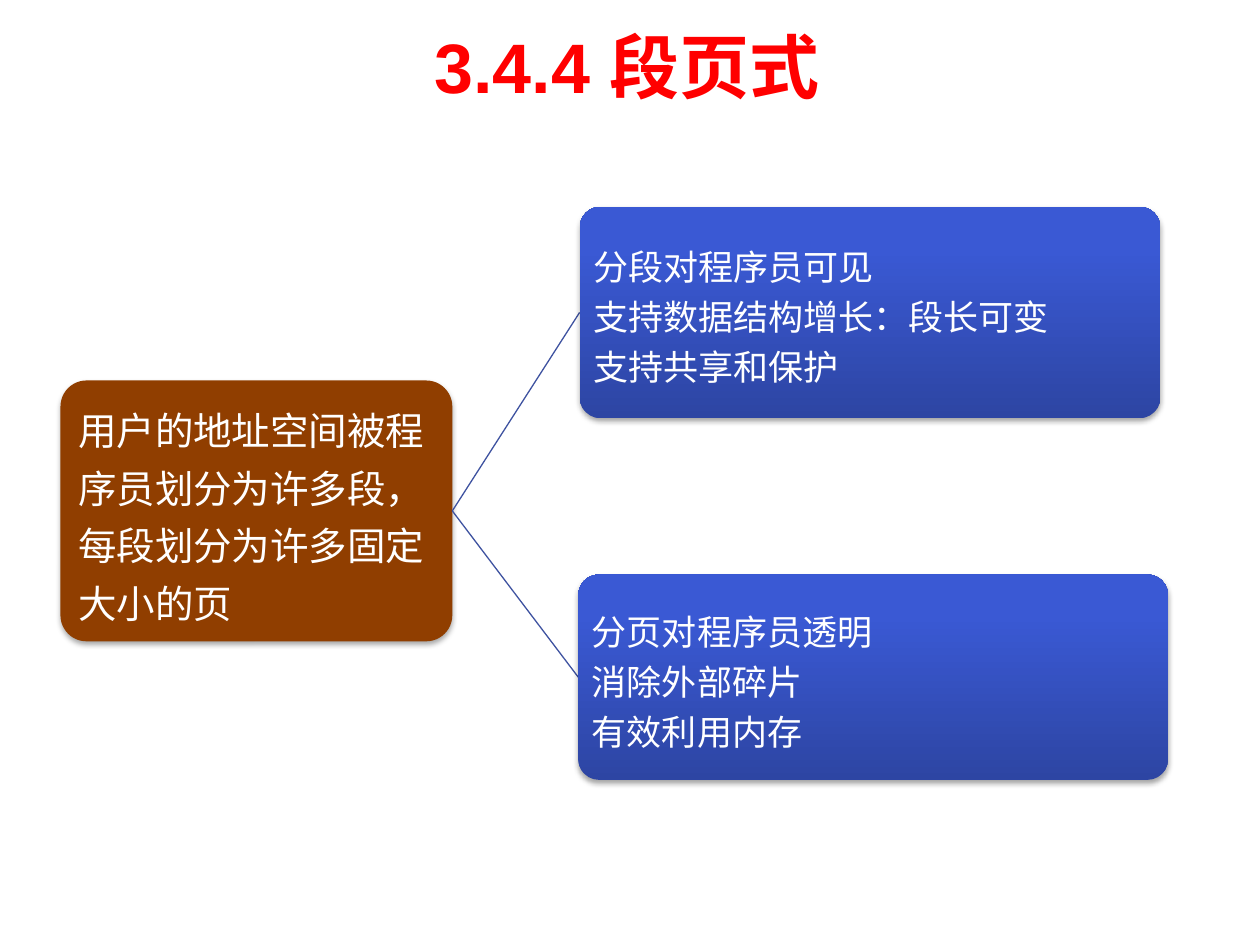
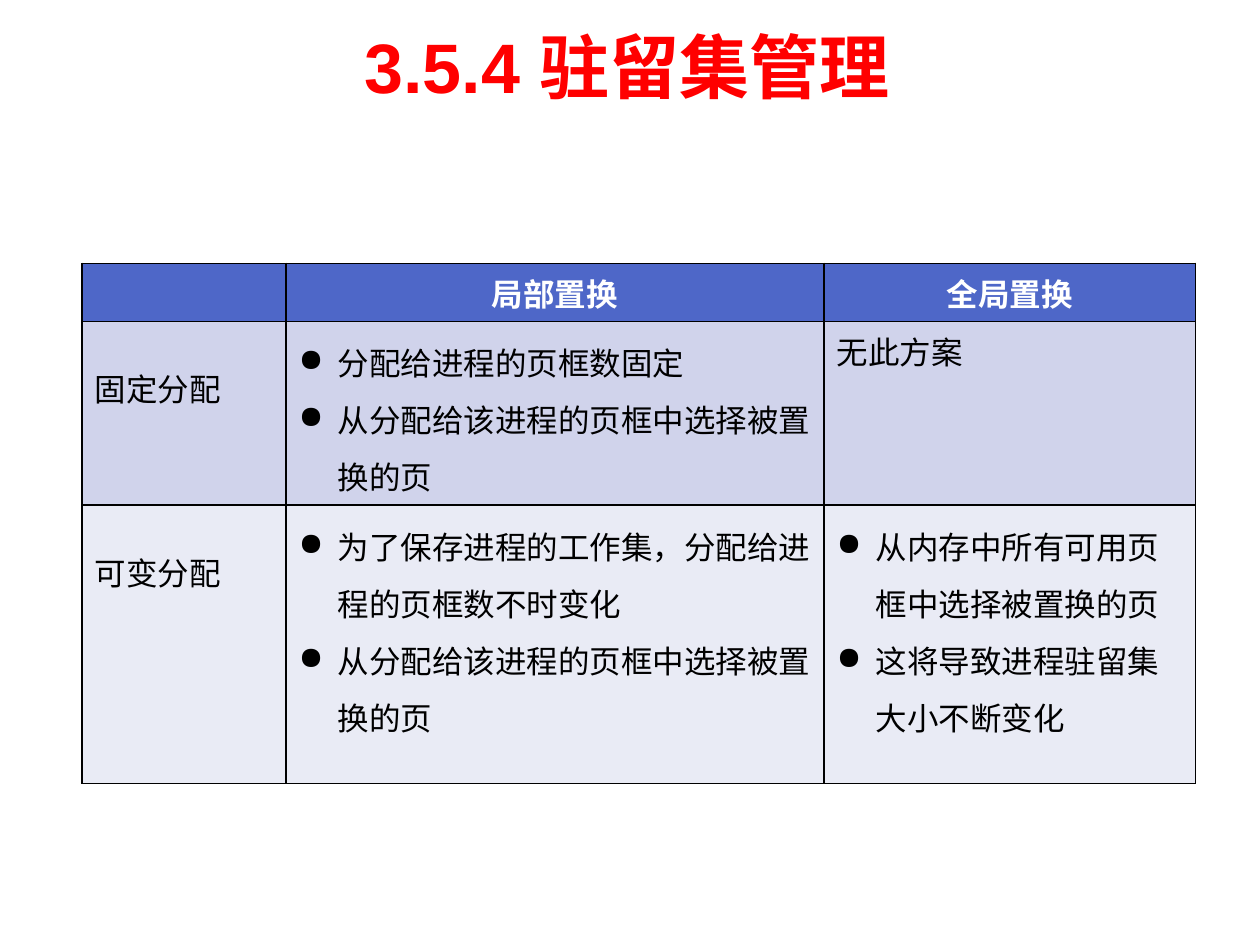
import copy

import pptx
import pptx.dml.color
import pptx.enum.shapes
import pptx.enum.text
import pptx.oxml.ns
import pptx.oxml.xmlchemy
import pptx.util
from lxml import etree

Inches = pptx.util.Inches
Pt = pptx.util.Pt
qn = pptx.oxml.ns.qn
Align = pptx.enum.text.PP_ALIGN
Anchor = pptx.enum.text.MSO_ANCHOR

WHITE, BLACK, RED, BROWN = "FFFFFF", "000000", "FF0000", "903E00"
LINK_LINE, HEADER_FILL = "3E52A0", "4E67C8"
ROW_FILLS = ["D0D3EB", "E9EBF5"]
BLUE_STOPS = [(0, "2D45A3"), (0.8, "3A59D4"), (1, "3758D7")]

TITLE_BOX = (1.06, 0.14, 7.83, 0.62)
TITLE_FONT = {"name": "Arial", "size": Pt(40), "bold": True}
ROOT_FONT = {"name": "Calibri", "size": Pt(22)}
BRANCH_FONT = {"name": "Calibri", "size": Pt(20)}
HEADER_FONT = {"name": "Arial", "size": Pt(18), "bold": True}
CELL_FONT = HEADER_FONT | {"bold": False}

ROOT_BOX = (0.48, 3.02, 3.11, 2.07)
ROOT_TEXT = "用户的地址空间被程序员划分为许多段，每段划分为许多固定大小的页"
BRANCHES = [
    ((4.6, 1.64, 4.61, 1.68),
     ["分段对程序员可见", "支持数据结构增长：段长可变", "支持共享和保护"]),
    ((4.59, 4.56, 4.68, 1.63),
     ["分页对程序员透明", "消除外部碎片", "有效利用内存"]),
]

TABLE_BOX = (0.65, 2.09, 8.84, 4.13)
COLUMN_WIDTHS = [1.62, 4.27, 2.95]
ROW_HEIGHTS = [0.46, 1.46, 2.21]
HEADERS = ["", "局部置换", "全局置换"]
FROM_PROCESS = "从分配给该进程的页框中选择被置换的页"
ALLOCATIONS = [
    ("固定分配", ["分配给进程的页框数固定", FROM_PROCESS], "无此方案"),
    ("可变分配",
     ["为了保存进程的工作集，分配给进程的页框数不时变化", FROM_PROCESS],
     ["从内存中所有可用页框中选择被置换的页", "这将导致进程驻留集大小不断变化"]),
]


def color(value):
    """Turn a hex string into a colour."""
    return pptx.dml.color.RGBColor.from_string(value)


def apply(target, values):
    """Set each attribute named in a dict of format values."""
    for name, value in values.items():
        setattr(target, name, value)


def write(frame, lines, font, ink, layout=None, bullet=None):
    """Fill a text frame with one paragraph per line."""
    for index, line in enumerate(lines):
        para = frame.add_paragraph() if index else frame.paragraphs[0]
        if bullet:
            properties = para._p.get_or_add_pPr()
            properties.set("marL", str(Inches(0.31)))
            properties.set("indent", str(-Inches(0.31)))
            etree.SubElement(properties, qn("a:buChar"), char=bullet)
        apply(para, layout or {})
        span = para.add_run()
        span.text = line
        apply(span.font, font)
        span.font.color.rgb = color(ink)


def add_page(deck, title):
    """Add a blank page with the shared red title."""
    page = deck.slides.add_slide(deck.slide_layouts[6])
    box = page.shapes.add_textbox(*map(Inches, TITLE_BOX))
    box.text_frame.word_wrap = True
    write(box.text_frame, [title], TITLE_FONT, RED, {"alignment": Align.CENTER})
    return page


def add_shadow(shape):
    """Give a shape a soft shadow straight below it."""
    shape.shadow.inherit = False
    effects = shape._element.spPr.find(qn("a:effectLst"))
    shadow = etree.SubElement(
        effects, qn("a:outerShdw"), blurRad=str(Pt(3.1)), dist=str(Pt(1.8)),
        dir="5400000", rotWithShape="0")
    shade = etree.SubElement(shadow, qn("a:srgbClr"), val=BLACK)
    etree.SubElement(shade, qn("a:alpha"), val="35000")


def fill_blue(shape):
    """Fill a shape with the vertical blue gradient."""
    shape.fill.gradient()
    shape.fill.gradient_angle = 90
    stops = shape._element.spPr.find(".//" + qn("a:gsLst"))
    stops.append(copy.deepcopy(stops[0]))
    for stop, (position, value) in zip(shape.fill.gradient_stops, BLUE_STOPS):
        stop.position = position
        stop.color.rgb = color(value)


def add_card(page, box, lines, font, spacing, inset):
    """Add a rounded card with left-aligned white text."""
    card = page.shapes.add_shape(
        pptx.enum.shapes.MSO_SHAPE.ROUNDED_RECTANGLE, *map(Inches, box))
    card.adjustments[0] = 0.1
    card.line.fill.background()
    add_shadow(card)
    apply(card.text_frame, {
        "word_wrap": True, "vertical_anchor": Anchor.MIDDLE,
        "margin_left": Inches(inset), "margin_right": Inches(inset),
        "margin_top": Inches(inset), "margin_bottom": Inches(inset)})
    write(card.text_frame, lines, font, WHITE,
          {"alignment": Align.LEFT, "line_spacing": Pt(spacing)})
    return card


def add_link(page, start_box, end_box):
    """Join the right middle of one box to the left middle of another."""
    left, top, width, height = start_box
    end_left, end_top, _, end_height = end_box
    ends = (left + width, top + height / 2, end_left, end_top + end_height / 2)
    link = page.shapes.add_connector(
        pptx.enum.shapes.MSO_CONNECTOR.STRAIGHT, *map(Inches, ends))
    link.line.color.rgb = color(LINK_LINE)
    link.line.width = Pt(0.75)
    etree.SubElement(link._element.spPr, qn("a:effectLst"))


def add_tree(page):
    """Draw the address space card and its two branches."""
    root = add_card(page, ROOT_BOX, [ROOT_TEXT], ROOT_FONT, 32.9, 0.08)
    root.fill.solid()
    root.fill.fore_color.rgb = color(BROWN)
    for box, lines in BRANCHES:
        add_link(page, ROOT_BOX, box)
        fill_blue(add_card(page, box, lines, BRANCH_FONT, 28.6, 0.06))


def style_cell(cell, fill):
    """Give a cell its fill and black borders."""
    cell.fill.solid()
    cell.fill.fore_color.rgb = color(fill)
    properties = cell._tc.get_or_add_tcPr()
    for index, side in enumerate(["lnL", "lnR", "lnT", "lnB"]):
        border = etree.Element(qn("a:" + side), w=str(Pt(1)))
        solid = etree.SubElement(border, qn("a:solidFill"))
        etree.SubElement(solid, qn("a:srgbClr"), val=BLACK)
        properties.insert(index, border)


def add_allocation_table(page, box):
    """Add the table of allocation and replacement policies."""
    table = page.shapes.add_table(
        len(ROW_HEIGHTS), len(COLUMN_WIDTHS), *map(Inches, box)).table
    for column, width in zip(table.columns, COLUMN_WIDTHS):
        column.width = Inches(width)
    for row, height in zip(table.rows, ROW_HEIGHTS):
        row.height = Inches(height)
    for cell, header in zip(table.rows[0].cells, HEADERS):
        style_cell(cell, HEADER_FILL)
        if header:
            write(cell.text_frame, [header], HEADER_FONT, WHITE,
                  {"alignment": Align.CENTER})
    for index, (contents, fill) in enumerate(zip(ALLOCATIONS, ROW_FILLS), 1):
        for cell, content in zip(table.rows[index].cells, contents):
            style_cell(cell, fill)
            if isinstance(content, list):
                write(cell.text_frame, content, CELL_FONT, BLACK,
                      {"line_spacing": 1.25}, "●")
            else:
                write(cell.text_frame, [content], CELL_FONT, BLACK)
        table.cell(index, 0).margin_top = Inches(0.35)


def main():
    """Build both pages and save the deck."""
    deck = pptx.Presentation()
    deck.slide_width, deck.slide_height = Inches(10), Inches(7.5)
    add_tree(add_page(deck, "3.4.4 段页式"))
    add_allocation_table(add_page(deck, "3.5.4 驻留集管理"), TABLE_BOX)
    deck.save("out.pptx")


if __name__ == "__main__":
    main()
